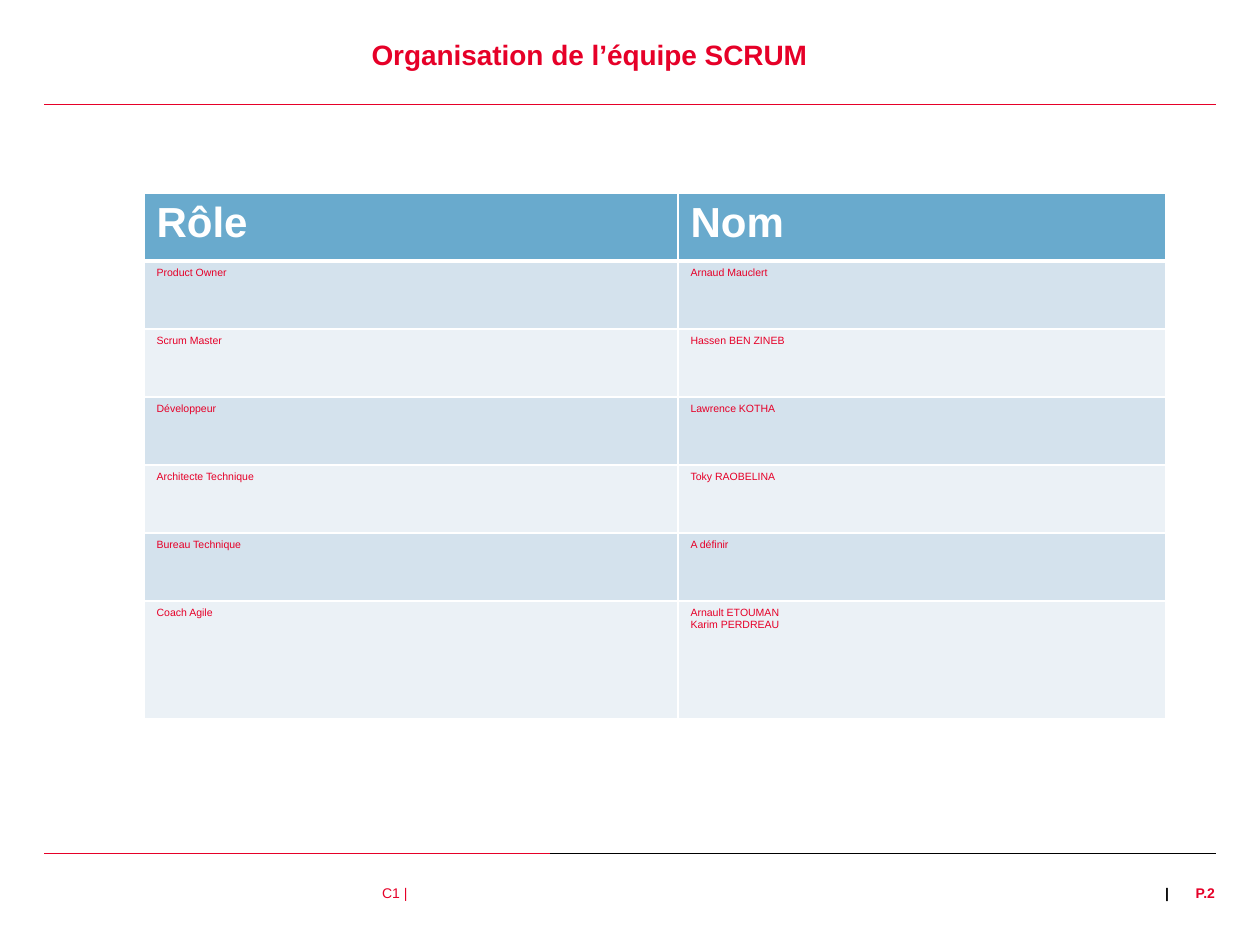
import pptx
import pptx.dml.color
import pptx.enum.shapes
import pptx.enum.text
import pptx.oxml.ns
import pptx.util
from lxml import etree

RED = pptx.dml.color.RGBColor(0xE6, 0x00, 0x28)
BLACK = pptx.dml.color.RGBColor(0x00, 0x00, 0x00)
WHITE = pptx.dml.color.RGBColor(0xFF, 0xFF, 0xFF)
HEADER_BLUE = pptx.dml.color.RGBColor(0x69, 0xAA, 0xCD)
BANDS = [
    pptx.dml.color.RGBColor(0xD4, 0xE2, 0xED),
    pptx.dml.color.RGBColor(0xEB, 0xF1, 0xF6),
]
ALIGN = pptx.enum.text.PP_ALIGN
EMU_PER_PX = 914400 / 126

TITLE = "Organisation de l’équipe SCRUM\t"
ROWS = [
    ("Rôle", ["Nom"]),
    ("Product Owner", ["Arnaud Mauclert"]),
    ("Scrum Master", ["Hassen BEN ZINEB"]),
    ("Développeur", ["Lawrence KOTHA"]),
    ("Architecte Technique", ["Toky RAOBELINA"]),
    ("Bureau Technique", ["A définir"]),
    ("Coach Agile", ["Arnault ETOUMAN", "Karim PERDREAU"]),
]
COLUMN_WIDTHS = [534, 488]
ROW_HEIGHTS = [68] * 6 + [118]
# left, right, y, colour
RULES = [
    (44, 1216, 104, RED),
    (44, 1216, 853, RED),
    (550, 1216, 853, BLACK),
]
# text, left, width, alignment, colour, bold, wrap
FOOTERS = [
    ("|", 1162, 10, ALIGN.CENTER, BLACK, True, False),
    ("P.2", 1166, 49, ALIGN.RIGHT, RED, True, True),
    ("C1 |", 382, 495, ALIGN.LEFT, RED, False, True),
]


def px(length):
    return pptx.util.Emu(round(length * EMU_PER_PX))


def add_span(para, text, size, color, bold):
    span = para.add_run()
    span.text = text
    span.font.name = "Arial"
    span.font.size = pptx.util.Pt(size)
    span.font.bold = bold
    span.font.color.rgb = color


def add_box(slide, left, top, width, height, wrap=True):
    box = slide.shapes.add_textbox(px(left), px(top), px(width), px(height))
    box.text_frame.word_wrap = wrap
    return box.text_frame


def add_rule(slide, left, right, y, color):
    rule = slide.shapes.add_connector(
        pptx.enum.shapes.MSO_CONNECTOR.STRAIGHT, px(right), px(y), px(left), px(y))
    rule.line.color.rgb = color
    rule.line.width = pptx.util.Pt(0.5)
    etree.SubElement(rule._element.spPr, pptx.oxml.ns.qn("a:effectLst"))


def set_borders(cell, top, bottom):
    """Draw white borders; top and bottom are widths in points, the sides are 1."""
    properties = cell._tc.get_or_add_tcPr()
    widths = [("a:lnL", 1), ("a:lnR", 1), ("a:lnT", top), ("a:lnB", bottom)]
    for place, (tag, width) in enumerate(widths):
        border = etree.Element(pptx.oxml.ns.qn(tag), w=str(pptx.util.Pt(width)))
        fill = etree.SubElement(border, pptx.oxml.ns.qn("a:solidFill"))
        etree.SubElement(fill, pptx.oxml.ns.qn("a:srgbClr"), val=str(WHITE))
        properties.insert(place, border)


def add_title(slide):
    para = add_box(slide, 77, 35, 1079, 69).paragraphs[0]
    para.alignment = ALIGN.CENTER
    para.line_spacing = 0.9
    para.space_before = pptx.util.Pt(6)
    properties = para._p.get_or_add_pPr()
    properties.set("marL", str(px(49)))
    properties.set("indent", str(-px(49)))
    add_span(para, TITLE, 16, RED, True)


def add_footer(slide, text, left, width, alignment, color, bold, wrap):
    frame = add_box(slide, left, 885, width, 60, wrap)
    frame.margin_left = frame.margin_right = 0
    frame.margin_top = frame.margin_bottom = 0
    para = frame.paragraphs[0]
    para.alignment = alignment
    add_span(para, text, 8, color, bold)


def add_team_table(slide):
    table = slide.shapes.add_table(
        len(ROWS), len(COLUMN_WIDTHS), px(144), px(193),
        px(sum(COLUMN_WIDTHS)), px(sum(ROW_HEIGHTS))).table
    for column, width in zip(table.columns, COLUMN_WIDTHS):
        column.width = px(width)
    for index, (role, names) in enumerate(ROWS):
        table.rows[index].height = px(ROW_HEIGHTS[index])
        header = index == 0
        size, color = (24, WHITE) if header else (6, RED)
        for column, lines in enumerate([[role], names]):
            cell = table.cell(index, column)
            cell.fill.solid()
            cell.fill.fore_color.rgb = HEADER_BLUE if header else BANDS[(index - 1) % 2]
            set_borders(cell, 3 if index == 1 else 1, 3 if header else 1)
            for number, line in enumerate(lines):
                frame = cell.text_frame
                para = frame.add_paragraph() if number else frame.paragraphs[0]
                para.alignment = ALIGN.LEFT
                add_span(para, line, size, color, header)


def main():
    deck = pptx.Presentation()
    deck.slide_width, deck.slide_height = px(1260), px(945)
    slide = deck.slides.add_slide(deck.slide_layouts[6])
    for rule in RULES:
        add_rule(slide, *rule)
    for footer in FOOTERS:
        add_footer(slide, *footer)
    add_title(slide)
    add_team_table(slide)
    deck.save("out.pptx")


if __name__ == "__main__":
    main()
